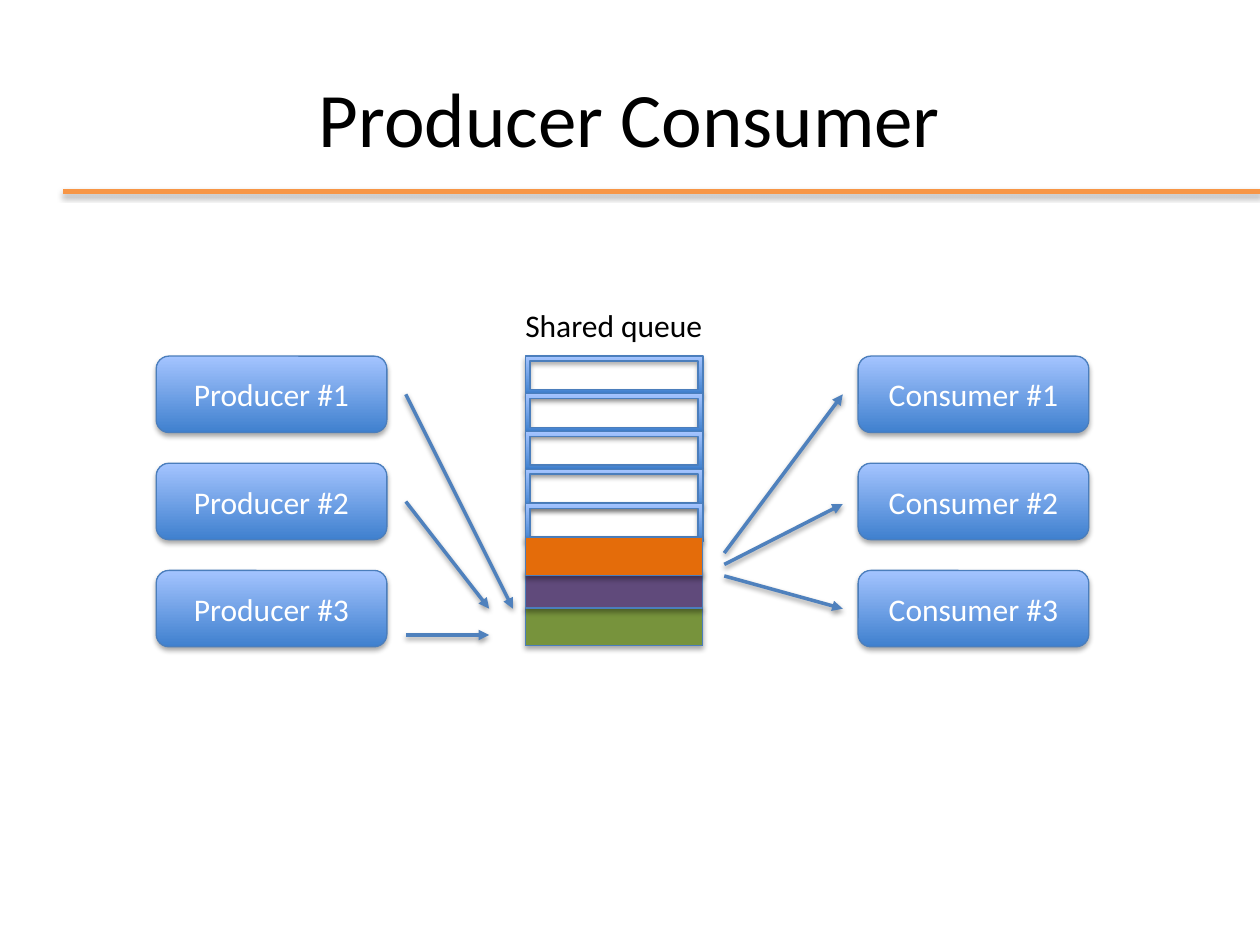
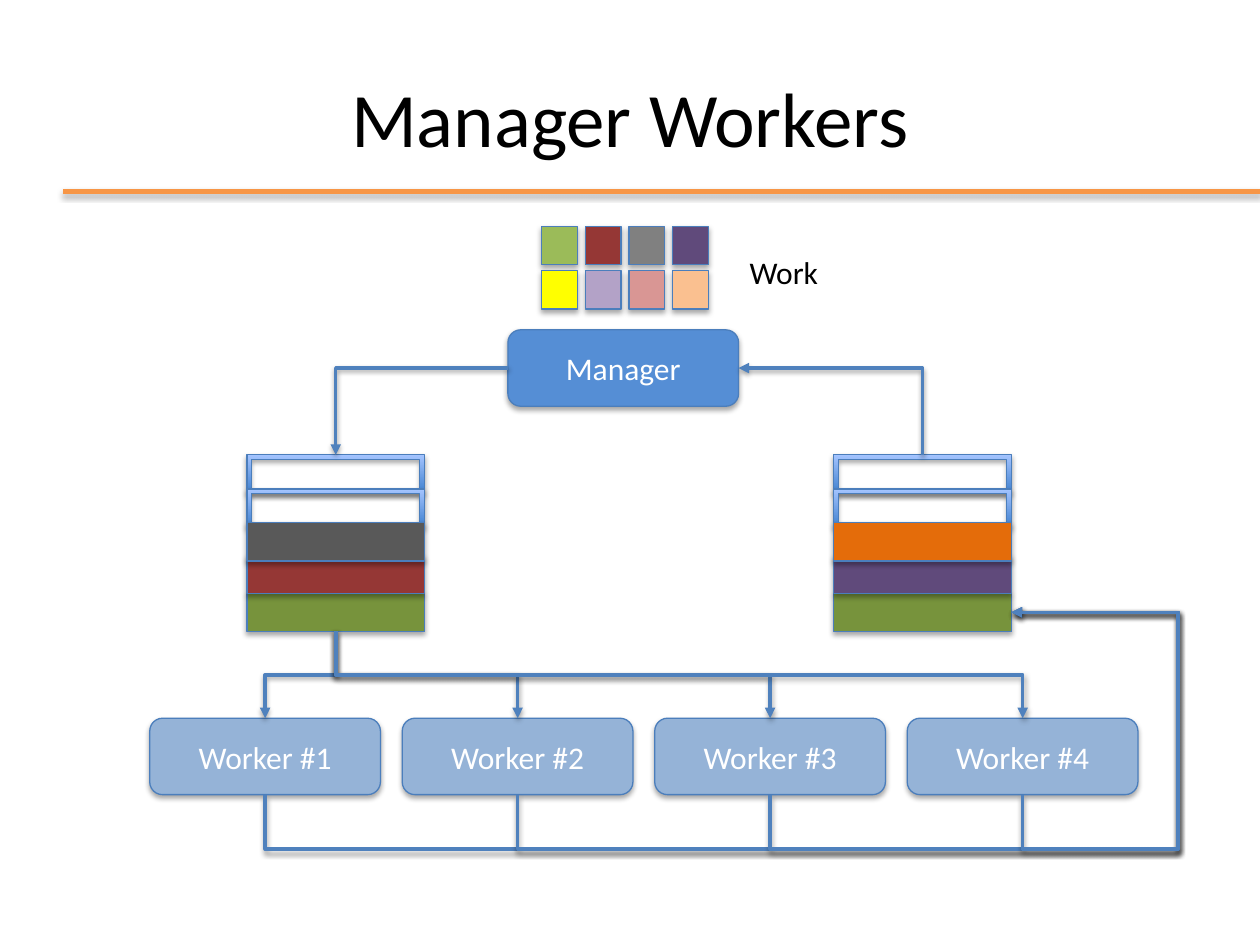
from dataclasses import dataclass

from lxml import etree
from pptx import Presentation
from pptx.dml.color import RGBColor
from pptx.enum.shapes import MSO_CONNECTOR, MSO_SHAPE
from pptx.enum.text import MSO_ANCHOR, MSO_AUTO_SIZE, PP_ALIGN
from pptx.oxml.ns import qn
from pptx.util import Cm, Pt

STRAIGHT, ELBOW = MSO_CONNECTOR.STRAIGHT, MSO_CONNECTOR.ELBOW
ROUNDED, FRAME, RECTANGLE = MSO_SHAPE.ROUNDED_RECTANGLE, MSO_SHAPE.FRAME, MSO_SHAPE.RECTANGLE
MIDDLE, CENTER, LEFT = MSO_ANCHOR.MIDDLE, PP_ALIGN.CENTER, PP_ALIGN.LEFT
GROW = MSO_AUTO_SIZE.SHAPE_TO_FIT_TEXT


@dataclass(frozen=True)
class Theme:
    font: str = "Calibri"
    title_size: int = 44
    body_size: int = 18
    text: str = "000000"
    light_text: str = "FFFFFF"
    rule: str = "F79646"
    outline: str = "4B7EBC"
    arrow: str = "4F81BD"
    gradient: tuple = ("3F80CE", "A4C4FF")
    manager: str = "558ED5"
    worker: str = "95B3D7"
    green: str = "77933C"
    purple: str = "604A7B"
    orange: str = "E46C0A"
    red: str = "953735"
    charcoal: str = "595959"
    work: tuple = (("9BBB59", "953735", "808080", "604A7B"),
                   ("FFFF00", "B3A2C7", "D99694", "FAC090"))


@dataclass(frozen=True)
class Box:
    left: float
    top: float
    width: float
    height: float

    @property
    def right(self):
        return self.left + self.width

    @property
    def bottom(self):
        return self.top + self.height

    @property
    def center(self):
        return self.left + self.width / 2

    @property
    def middle(self):
        return self.top + self.height / 2

    def lengths(self):
        return [Cm(value) for value in (self.left, self.top, self.width, self.height)]


THEME = Theme()
NODE_WIDTH, NODE_HEIGHT = 4.65, 1.54
SLOT_WIDTH, SLOT_HEIGHT, SLOT_PITCH = 3.58, 0.77, 0.76
LAST_SLOTS = (0, 0.69, 1.37, 2.03, 2.79)


def color(value):
    return RGBColor.from_string(value)


def add_shadow(shape, distance=1.8, opacity=35):
    effects = etree.SubElement(shape.element.spPr, qn("a:effectLst"))
    shadow = etree.SubElement(effects, qn("a:outerShdw"), blurRad=str(Pt(3.1)),
                              dist=str(Pt(distance)), dir="5400000", rotWithShape="0")
    black = etree.SubElement(shadow, qn("a:srgbClr"), val="000000")
    etree.SubElement(black, qn("a:alpha"), val=str(opacity * 1000))


def write(shape, text, size, text_color, alignment):
    paragraph = shape.text_frame.paragraphs[0]
    paragraph.alignment = alignment
    run = paragraph.add_run()
    run.text = text
    run.font.name = THEME.font
    run.font.size = Pt(size)
    run.font.color.rgb = color(text_color)


def add_block(slide, kind, box, fill=None):
    shape = slide.shapes.add_shape(kind, *box.lengths())
    if fill:
        shape.fill.solid()
        shape.fill.fore_color.rgb = color(fill)
    else:
        shape.fill.gradient()
        shape.fill.gradient_angle = 90
        for stop, value in zip(shape.fill.gradient_stops, THEME.gradient):
            stop.color.rgb = color(value)
    shape.line.color.rgb = color(THEME.outline)
    shape.line.width = Pt(0.75)
    add_shadow(shape)
    return shape


def add_node(slide, left, top, text, fill=None):
    box = Box(left, top, NODE_WIDTH, NODE_HEIGHT)
    shape = add_block(slide, ROUNDED, box, fill)
    shape.text_frame.vertical_anchor = MIDDLE
    write(shape, text, THEME.body_size, THEME.light_text, CENTER)
    return box


def add_label(slide, box, text):
    label = slide.shapes.add_textbox(*box.lengths())
    label.text_frame.word_wrap = False
    label.text_frame.auto_size = GROW
    write(label, text, THEME.body_size, THEME.text, LEFT)


def add_stack(slide, left, top, empty_slots, fills):
    extra = empty_slots + len(fills) - len(LAST_SLOTS)
    offsets = [SLOT_PITCH * index for index in range(extra)]
    offsets += [SLOT_PITCH * extra + offset for offset in LAST_SLOTS]
    slots = [Box(left, top + offset, SLOT_WIDTH, SLOT_HEIGHT) for offset in offsets]
    for slot in slots[:empty_slots]:
        add_block(slide, FRAME, slot)
    for slot, fill in reversed(list(zip(slots[empty_slots:], fills))):
        add_block(slide, RECTANGLE, slot, fill)
    return slots


def style_line(connector, line_color, width, distance, opacity, arrow):
    connector.line.color.rgb = color(line_color)
    connector.line.width = Pt(width)
    if arrow:
        line = connector.element.spPr.find(qn("a:ln"))
        etree.SubElement(line, qn("a:tailEnd"), type="triangle")
    add_shadow(connector, distance, opacity)


def add_arrow(slide, start, end):
    connector = slide.shapes.add_connector(STRAIGHT, *map(Cm, start + end))
    style_line(connector, THEME.arrow, 2, 1.6, 38, arrow=True)


def add_bent_arrow(slide, start, end, vertical_first=True, bends=()):
    across, down = end[0] - start[0], end[1] - start[1]
    width, height = abs(across), abs(down)
    flips = {"flipH": across < 0, "flipV": down < 0}
    if vertical_first:
        width, height = height, width
        flips = {"flipH": down < 0, "flipV": across > 0}
    left = (start[0] + end[0] - width) / 2
    top = (start[1] + end[1] - height) / 2
    connector = slide.shapes.add_connector(
        ELBOW, Cm(left), Cm(top), Cm(left + width), Cm(top + height))
    properties = connector.element.spPr
    transform = properties.find(qn("a:xfrm"))
    if vertical_first:
        transform.set("rot", "5400000")
    for name, flipped in flips.items():
        if flipped:
            transform.set(name, "1")
    geometry = properties.find(qn("a:prstGeom"))
    geometry.set("prst", f"bentConnector{2 + len(bends)}")
    adjustments = geometry.find(qn("a:avLst"))
    for number, bend in enumerate(bends, 1):
        etree.SubElement(adjustments, qn("a:gd"), name=f"adj{number}",
                         fmla=f"val {round(bend * 100000)}")
    style_line(connector, THEME.arrow, 2, 1.6, 38, arrow=True)


def add_header(slide, box, text):
    rule = slide.shapes.add_connector(
        STRAIGHT, Cm(box.left), Cm(box.top + 3.1), Cm(25.4), Cm(box.top + 3.1))
    style_line(rule, THEME.rule, 3, 1.8, 35, arrow=False)
    title = slide.shapes.add_textbox(*box.lengths())
    title.text_frame.word_wrap = True
    title.text_frame.vertical_anchor = MIDDLE
    write(title, text, THEME.title_size, THEME.text, CENTER)


def add_producer_consumer(slide, box):
    for role, left in (("Producer", box.left), ("Consumer", box.right - NODE_WIDTH)):
        for index in range(3):
            add_node(slide, left, box.top + 1.13 + 2.16 * index, f"{role} #{index + 1}")
    add_stack(slide, box.left + 7.44, box.top + 1.13, 5,
              (THEME.orange, THEME.purple, THEME.green))
    add_label(slide, Box(box.left + 7.19, box.top, 4.14, 1.02), "Shared queue")
    arrows = (
        (5.03, 6.75, 6.71, 6.75), (5.03, 4.06, 6.71, 6.22), (5.03, 1.9, 7.19, 6.22),
        (11.45, 5.1, 13.84, 1.9), (11.45, 5.33, 13.84, 4.11), (11.45, 5.56, 13.84, 6.22),
    )
    for x1, y1, x2, y2 in arrows:
        add_arrow(slide, (box.left + x1, box.top + y1), (box.left + x2, box.top + y2))


def add_work(slide, box):
    for row, fills in enumerate(THEME.work):
        for column, fill in enumerate(fills):
            swatch = Box(box.left + 0.88 * column, box.top + 0.89 * row, 0.72, SLOT_HEIGHT)
            add_block(slide, RECTANGLE, swatch, fill)
    add_label(slide, Box(box.right - 1.9, box.top + 0.41, 1.9, 1.02), "Work")


def add_manager_workers(slide, box):
    manager = add_node(slide, box.left + 7.22, box.top + 2.08, "Manager", THEME.manager)
    workers = [add_node(slide, box.left + 5.09 * index, box.top + 9.91,
                        f"Worker #{index + 1}", THEME.worker) for index in range(4)]
    add_work(slide, Box(box.left + 7.9, box.top, 5.84, 1.66))
    tasks = add_stack(slide, box.left + 1.96, box.top + 4.6, 2,
                      (THEME.charcoal, THEME.red, THEME.green))
    results = add_stack(slide, box.left + 13.79, box.top + 4.6, 2,
                        (THEME.orange, THEME.purple, THEME.green))

    add_bent_arrow(slide, (manager.left, manager.middle),
                   (tasks[0].center, tasks[0].top), vertical_first=False)
    for worker in workers:
        add_bent_arrow(slide, (tasks[-1].center, tasks[-1].bottom),
                       (worker.center, worker.top), bends=(0.5,))
    target = (results[-1].right, results[-1].middle)
    for worker in workers:
        start = (worker.center, worker.bottom)
        bends = ((box.bottom - start[1]) / (target[1] - start[1]),
                 (box.right - start[0]) / (target[0] - start[0]))
        add_bent_arrow(slide, start, target, bends=bends)
    add_bent_arrow(slide, (results[0].center, results[0].top),
                   (manager.right, manager.middle))


def main():
    presentation = Presentation()
    presentation.slide_width, presentation.slide_height = Cm(25.4), Cm(19.05)
    pages = (
        ("Producer Consumer", add_producer_consumer, Box(3.15, 6.05, 18.8, 7.1)),
        ("Manager Workers", add_manager_workers, Box(3.02, 4.57, 20.73, 12.55)),
    )
    for title, add_diagram, box in pages:
        slide = presentation.slides.add_slide(presentation.slide_layouts[6])
        add_header(slide, Box(1.27, 0.76, 22.86, 3.18), title)
        add_diagram(slide, box)
    presentation.save("out.pptx")


main()
